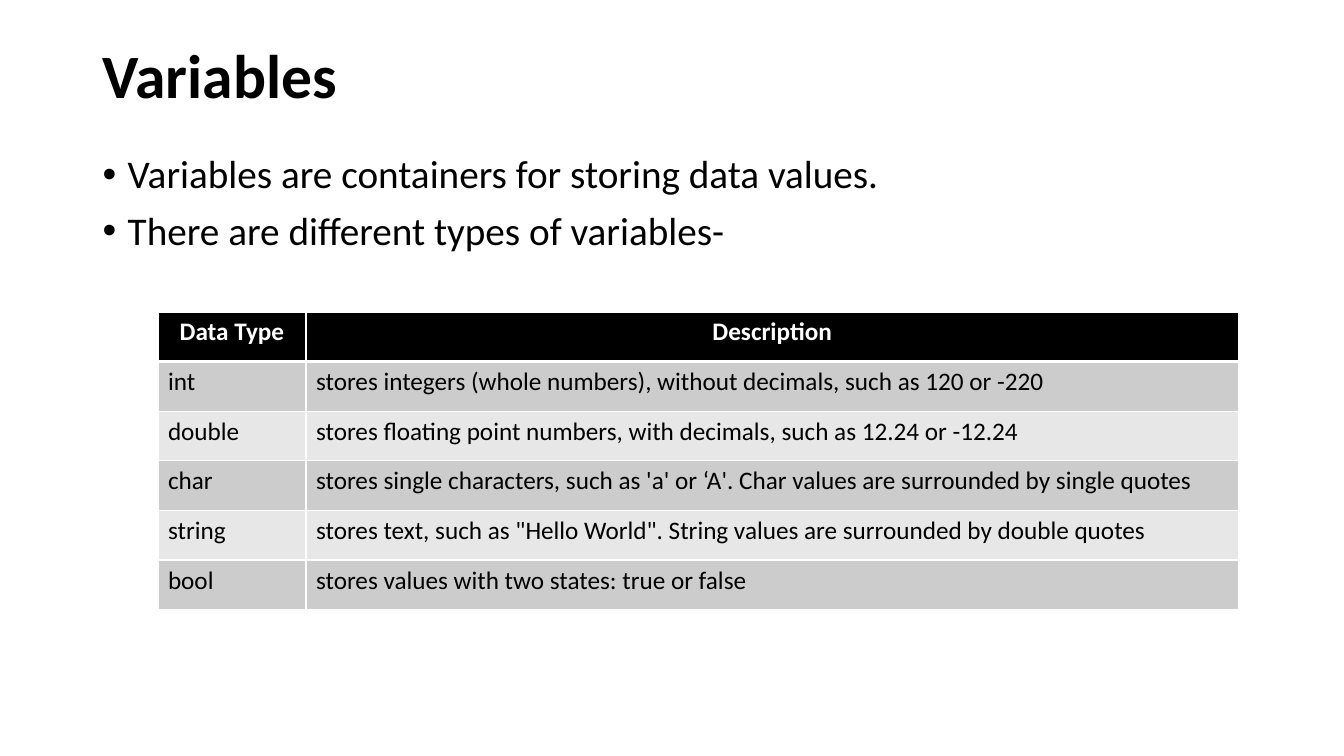
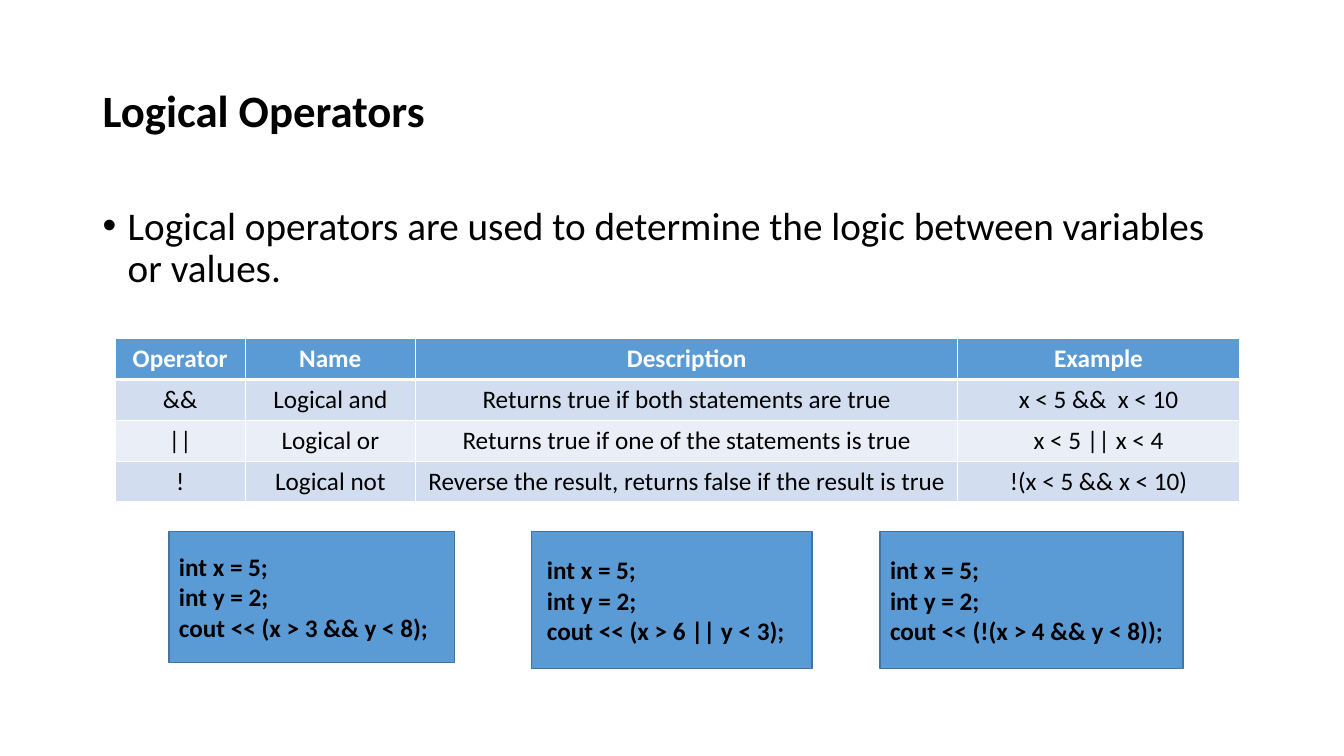
"""Build two slides on C++ variables and logical operators."""
from dataclasses import dataclass

from lxml import etree
from pptx import Presentation
from pptx.dml.color import RGBColor
from pptx.enum.shapes import MSO_SHAPE
from pptx.enum.text import MSO_ANCHOR, MSO_AUTO_SIZE, PP_ALIGN
from pptx.oxml.ns import qn
from pptx.util import Cm, Pt

LEFT, CENTER = PP_ALIGN.LEFT, PP_ALIGN.CENTER
TOP, MIDDLE = MSO_ANCHOR.TOP, MSO_ANCHOR.MIDDLE
NO_AUTOFIT = MSO_AUTO_SIZE.NONE
RECTANGLE = MSO_SHAPE.RECTANGLE


@dataclass(frozen=True)
class Theme:
    font: str = "Calibri"
    text: str = "000000"
    white: str = "FFFFFF"
    blue: str = "5B9BD5"
    blue_line: str = "43739E"
    blue_bands: tuple = ("D2DEEF", "EAEFF7")
    gray_bands: tuple = ("CCCCCC", "E7E7E7")
    title_large: int = 44
    title_small: int = 32
    body: int = 28
    small: int = 18


theme = Theme()


def format_text(tf, size, color=theme.text, bold=False, align=LEFT):
    for p in tf.paragraphs:
        p.alignment = align
        for r in p.runs:
            r.font.name = theme.font
            r.font.size = Pt(size)
            r.font.bold = bold
            r.font.color.rgb = RGBColor.from_string(color)


def add_border(cell, side, width):
    ln = etree.SubElement(cell._tc.get_or_add_tcPr(), qn(f"a:ln{side}"), w=str(Pt(width)))
    fill = etree.SubElement(ln, qn("a:solidFill"))
    etree.SubElement(fill, qn("a:srgbClr"), val=theme.white)


slides = [
    {
        "title": "Variables",
        "title_size": theme.title_large,
        "title_anchor": TOP,
        "body_top": 3.78,
        "bullets": [
            "Variables are containers for storing data values.",
            "There are different types of variables-",
        ],
        "table_at": (3.98, 7.86),
        "columns": [3.73, 23.5],
        "row_height": 1.25,
        "header_fill": theme.text,
        "bands": theme.gray_bands,
        "align": LEFT,
        "rows": [
            ["Data Type", "Description"],
            ["int", "stores integers (whole numbers), without decimals, such as 120 or -220"],
            ["double", "stores floating point numbers, with decimals, such as 12.24 or -12.24"],
            ["char", "stores single characters, such as 'a' or ‘A'. "
                     "Char values are surrounded by single quotes"],
            ["string", "stores text, such as \"Hello World\". "
                       "String values are surrounded by double quotes"],
            ["bool", "stores values with two states: true or false"],
        ],
        "code": [],
    },
    {
        "title": "Logical Operators",
        "title_size": theme.title_small,
        "title_anchor": MIDDLE,
        "body_top": 5.08,
        "bullets": [
            "Logical operators are used to determine the logic between variables or values.",
        ],
        "table_at": (2.9, 8.53),
        "columns": [3.28, 4.29, 13.67, 7.09],
        "row_height": 1.03,
        "header_fill": theme.blue,
        "bands": theme.blue_bands,
        "align": CENTER,
        "rows": [
            ["Operator", "Name", "Description", "Example"],
            ["&&", "Logical and", "Returns true if both statements are true", "x < 5 &&  x < 10"],
            ["||", "Logical or", "Returns true if one of the statements is true", "x < 5 || x < 4"],
            ["!", "Logical not", "Reverse the result, returns false if the result is true",
             "!(x < 5 && x < 10)"],
        ],
        "code": [
            (4.26, 7.2, 3.3, "int x = 5;\nint y = 2;\ncout << (x > 3 && y < 8);"),
            (13.39, 7.08, 3.46, " int x = 5;\n int y = 2;\n cout << (x > 6 || y < 3);"),
            (22.18, 7.63, 3.46, "int x = 5;\nint y = 2;\ncout << (!(x > 4 && y < 8));"),
        ],
    },
]

MARGIN, CONTENT_WIDTH = 2.33, 29.21
BODY_BOTTOM, CODE_TOP = 17.17, 13.39

prs = Presentation()
prs.slide_width, prs.slide_height = Cm(33.87), Cm(19.05)

for content in slides:
    s = prs.slides.add_slide(prs.slide_layouts[1])

    title = s.shapes.title
    title.left, title.top = Cm(MARGIN), Cm(1.01)
    title.width, title.height = Cm(CONTENT_WIDTH), Cm(3.68)
    tf = title.text_frame
    tf.text = content["title"]
    tf.auto_size = NO_AUTOFIT
    tf.vertical_anchor = content["title_anchor"]
    tf.paragraphs[0].line_spacing = 0.9
    format_text(tf, content["title_size"], bold=True)

    body = s.placeholders[1]
    body.left, body.top = Cm(MARGIN), Cm(content["body_top"])
    body.width, body.height = Cm(CONTENT_WIDTH), Cm(BODY_BOTTOM - content["body_top"])
    tf = body.text_frame
    tf.text = "\n".join(content["bullets"])
    tf.auto_size = NO_AUTOFIT
    for i, p in enumerate(tf.paragraphs):
        pPr = p._p.get_or_add_pPr()
        pPr.set("marL", str(Pt(18)))
        pPr.set("indent", str(Pt(-18)))
        p.line_spacing = 0.9
        p.space_before = Pt(10 if i else 0)
    format_text(tf, theme.body)

    rows, columns = content["rows"], content["columns"]
    left, top = content["table_at"]
    table = s.shapes.add_table(
        len(rows), len(columns), Cm(left), Cm(top),
        Cm(sum(columns)), Cm(content["row_height"] * len(rows)),
    ).table
    for column, width in zip(table.columns, columns):
        column.width = Cm(width)
    for i, row in enumerate(rows):
        header = i == 0
        table.rows[i].height = Cm(content["row_height"])
        fill = content["header_fill"] if header else content["bands"][(i - 1) % 2]
        for j, text in enumerate(row):
            cell = table.cell(i, j)
            cell.text_frame.text = text
            format_text(
                cell.text_frame, theme.small, theme.white if header else theme.text,
                header, CENTER if header else content["align"],
            )
            for side in "LRTB":
                thick = (i, side) in ((0, "B"), (1, "T"))
                add_border(cell, side, 3 if thick else 1)
            cell.fill.solid()
            cell.fill.fore_color.rgb = RGBColor.from_string(fill)

    for left, width, height, code in content["code"]:
        sp = s.shapes.add_shape(RECTANGLE, Cm(left), Cm(CODE_TOP), Cm(width), Cm(height))
        sp.shadow.inherit = False
        sp.fill.solid()
        sp.fill.fore_color.rgb = RGBColor.from_string(theme.blue)
        sp.line.color.rgb = RGBColor.from_string(theme.blue_line)
        sp.line.width = Pt(1)
        tf = sp.text_frame
        tf.text = code
        tf.word_wrap = True
        tf.vertical_anchor = MIDDLE
        format_text(tf, theme.small, bold=True)

prs.save("out.pptx")
